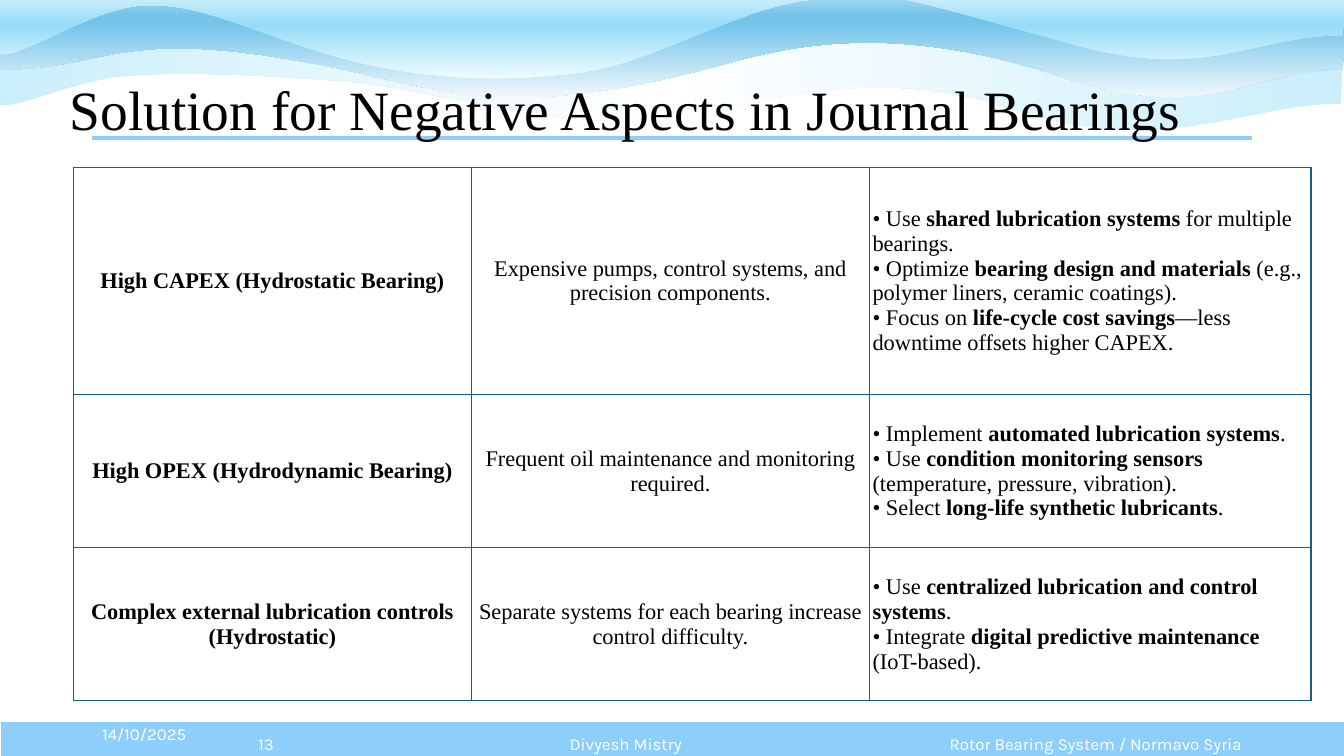
from lxml.etree import SubElement as Sub
from pptx import Presentation
from pptx.dml.color import RGBColor
from pptx.enum.shapes import MSO_CONNECTOR as Conn, MSO_SHAPE as Shape
from pptx.enum.text import MSO_ANCHOR as Anchor, MSO_AUTO_SIZE as Auto, PP_ALIGN as Align
from pptx.oxml.ns import qn
from pptx.util import Cm, Pt

SERIF, SANS = "Times New Roman", "Karla"
SKY, TEAL, WHITE, BLACK = "8ECEFA", "156082", "FFFFFF", "000000"

# Box, outline, colour stops and angle. Lengths are in inches;
# in an outline, pairs are corners and sixes are Bezier curves.
WAVES = [
    ((-0.04, 0.3, 13.36, 0.98),
     [(13.3, 1.03), (12.37, 1.02, 11.52, 1.59, 9.99, 1.06),
      (8.27, 0.54, 7.21, 1.24, 6.1, 1.2), (4.99, 1.16, 4.21, 0.87, 3.35, 0.8),
      (2.49, 0.74, 1.83, 0.71, 1.27, 0.75), (0.71, 0.79, 0.14, 1.11, -0.02, 1.03),
      (-0.02, 0.8, -0.04, 0.53, -0.04, 0.3), (3.13, 0.31), (6.52, 0.34),
      (9.41, 0.32), (13.32, 0.34), (13.32, 0.55, 13.32, 0.8, 13.3, 1.03)],
     [(0, "CAEEFB"), (50, WHITE), (100, "CAEEFB")], 0),
    ((0, -0.02, 13.33, 0.98),
     [(13.32, 0.69), (12.39, 0.69, 11.96, 1.27, 10.44, 0.73),
      (8.71, 0.19, 7.73, 0.49, 7.06, 0.67), (5.28, 1.14, 4.59, 0.97, 3.46, 0.7),
      (1.13, 0.21, 1.15, 0.69, 0, 0.69), (0, 0.46, 0.01, 0.23, 0.01, -0.01),
      (3.13, 0), (6.54, -0.02), (9.46, -0.01), (13.33, 0.03),
      (13.33, 0.25, 13.34, 0.46, 13.32, 0.69)],
     [(0, "A2D8F0"), (17, "74C4E9"), (26, "74C4E9"), (100, "F0F8FD")], 270),
    ((-0.03, -0.28, 13.36, 1.06),
     [(13.32, 0.35), (12.39, 0.35, 11.96, 0.86, 10.44, 0.38),
      (8.72, -0.09, 8.91, -0.07, 8.13, -0.01), (7.35, 0.04, 6.53, 0.62, 5.76, 0.72),
      (4.98, 0.82, 4.24, 0.79, 3.47, 0.6), (2.58, 0.36, 2.07, 0.05, 1.5, 0.05),
      (0.92, 0.04, 0.22, 0.61, -0.03, 0.53), (-0.02, 0.32, 0.01, -0.06, 0.01, -0.27),
      (3.13, -0.26), (6.54, -0.28), (9.46, -0.27), (13.33, -0.24),
      (13.33, -0.04, 13.34, 0.14, 13.32, 0.35)],
     [(0, WHITE), (50, "96DCF8"), (100, "EFFCFF")], 270),
]

# Asterisks enclose bold words.
ROWS = [
    (5.72, "High CAPEX (Hydrostatic Bearing)",
     "Expensive pumps, control systems, and precision components.",
     ["• Use *shared lubrication systems* for multiple bearings.",
      "• Optimize *bearing design and materials* (e.g., polymer liners, ceramic coatings).",
      "• Focus on *life-cycle cost savings*—less downtime offsets higher CAPEX."]),
    (3.86, "High OPEX (Hydrodynamic Bearing)",
     "Frequent oil maintenance and monitoring required.",
     ["• Implement *automated lubrication systems*.",
      "• Use *condition monitoring sensors* (temperature, pressure, vibration).",
      "• Select *long-life synthetic lubricants*."]),
    (3.86, "Complex external lubrication controls (Hydrostatic)",
     "Separate systems for each bearing increase control difficulty.",
     ["• Use *centralized lubrication and control systems*.",
      "• Integrate *digital predictive maintenance* (IoT-based)."]),
]


def rgb(code):
    return RGBColor.from_string(code)


def style(para, face, size, color, align=Align.LEFT):
    font = para.font
    font.name, font.size, font.color.rgb = face, Pt(size), rgb(color)
    para.alignment = align


def add_wave(slide, box, curve, stops, angle):
    """Build the box as a freeform, then give it the curved outline."""
    left, top, width, height = (n * 1000 for n in box)
    pen = slide.shapes.build_freeform(left, top, scale=Cm(2.54) / 1000)
    pen.add_line_segments([(left + width, top), (left + width, top + height),
                           (left, top + height)], close=True)
    wave = pen.convert_to_shape()
    wave.shadow.inherit = False
    wave.line.fill.background()
    wave.fill.gradient()
    wave.fill.gradient_angle = angle
    props = wave.element.spPr
    ramp = props.find(qn("a:gradFill")).find(qn("a:gsLst"))
    ramp.clear()
    for pos, code in stops:
        stop = Sub(ramp, qn("a:gs"), pos=str(pos * 1000))
        Sub(stop, qn("a:srgbClr"), val=code)
    trail = props.find(".//" + qn("a:path"))
    del trail[:]
    for i, seg in enumerate(curve):
        tag = "cubicBezTo" if len(seg) == 6 else "lnTo" if i else "moveTo"
        step = Sub(trail, qn("a:" + tag))
        for x, y in zip(seg[::2], seg[1::2]):
            Sub(step, qn("a:pt"), x=str(round(x * 1000 - left)), y=str(round(y * 1000 - top)))
    Sub(trail, qn("a:close"))


def add_title(slide, text, left, top, width, height):
    rule = slide.shapes.add_connector(Conn.STRAIGHT, Cm(left + 0.83), Cm(top + 2.59),
                                      Cm(left + 30.05), Cm(top + 2.59))
    rule.line.color.rgb, rule.line.width = rgb(SKY), Pt(3)
    Sub(rule.element.spPr, qn("a:effectLst"))
    title = slide.shapes.title
    title.left, title.top, title.width, title.height = map(Cm, (left, top, width, height))
    frame = title.text_frame
    frame.text, frame.auto_size = text, Auto.NONE
    frame.vertical_anchor = Anchor.MIDDLE
    style(frame.paragraphs[0], SERIF, 39.6, BLACK)
    title.element.getparent().append(title.element)


def add_foot(slide, left, top, width, height):
    band = slide.shapes.add_shape(Shape.RECTANGLE, *map(Cm, (left, top, width, height)))
    band.shadow.inherit = False
    band.fill.solid()
    band.fill.fore_color.rgb = rgb(SKY)
    band.line.color.rgb, band.line.width = rgb(WHITE), Pt(1.5)
    for text, x, wide, align, anchor in (
            ("14/10/2025", 2.33, 3.1, Align.LEFT, Anchor.TOP),
            ("13", 5.41, 2.59, Align.CENTER, Anchor.MIDDLE),
            ("Divyesh Mistry", 8, 15.54, Align.CENTER, Anchor.MIDDLE),
            ("Rotor Bearing System / Normavo Syria", 23.55, 8, Align.RIGHT, Anchor.MIDDLE)):
        box = slide.shapes.add_textbox(Cm(left + x), Cm(top + 0.08), Cm(wide), Cm(height))
        frame = box.text_frame
        frame.word_wrap, frame.vertical_anchor = True, anchor
        frame.margin_top = frame.margin_bottom = 0
        frame.text = text
        style(frame.paragraphs[0], SANS, 12, WHITE, align)


def add_fixes(para, fixes):
    """Write one line per fix, with its bold words."""
    style(para, SERIF, 16, BLACK)
    for n, fix in enumerate(fixes):
        if n:
            para.add_line_break()
        for i, part in enumerate(fix.split("*")):
            run = para.add_run()
            run.text, run.font.bold = part, i % 2 == 1


def frame_cell(cell):
    cell.margin_left = cell.margin_right = Cm(0.08)
    cell.margin_top = cell.margin_bottom = Cm(0.03)
    cell.vertical_anchor = Anchor.MIDDLE
    props = cell._tc.get_or_add_tcPr()
    for side in ("lnL", "lnR", "lnT", "lnB"):
        edge = Sub(props, qn("a:" + side), w=str(Pt(1)))
        Sub(Sub(edge, qn("a:solidFill")), qn("a:srgbClr"), val=TEAL)
    cell.fill.background()


def add_grid(slide, left, top, cols):
    high = sum(row[0] for row in ROWS)
    grid = slide.shapes.add_table(len(ROWS), len(cols), Cm(left), Cm(top),
                                  Cm(sum(cols)), Cm(high)).table
    grid.first_row = grid.horz_banding = False
    for col, wide in zip(grid.columns, cols):
        col.width = Cm(wide)
    for r, (tall, issue, cause, fixes) in enumerate(ROWS):
        grid.rows[r].height = Cm(tall)
        for c, text in enumerate((issue, cause)):
            cell = grid.cell(r, c)
            cell.text = text
            para = cell.text_frame.paragraphs[0]
            style(para, SERIF, 16, BLACK, Align.CENTER)
            para.font.bold = c == 0
        add_fixes(grid.cell(r, 2).text_frame.paragraphs[0], fixes)
        for c in range(len(cols)):
            frame_cell(grid.cell(r, c))


def main():
    deck = Presentation()
    deck.slide_width, deck.slide_height = Cm(33.87), Cm(19.05)
    slide = deck.slides.add_slide(deck.slide_layouts[5])
    for wave in WAVES:
        add_wave(slide, *wave)
    add_title(slide, "Solution for Negative Aspects in Journal Bearings", 1.5, 0.89, 31.55, 3.68)
    add_foot(slide, 0, 18.16, 33.91, 1.02)
    add_grid(slide, 1.85, 4.22, (10.03, 10.03, 11.13))
    deck.save("out.pptx")


if __name__ == "__main__":
    main()
